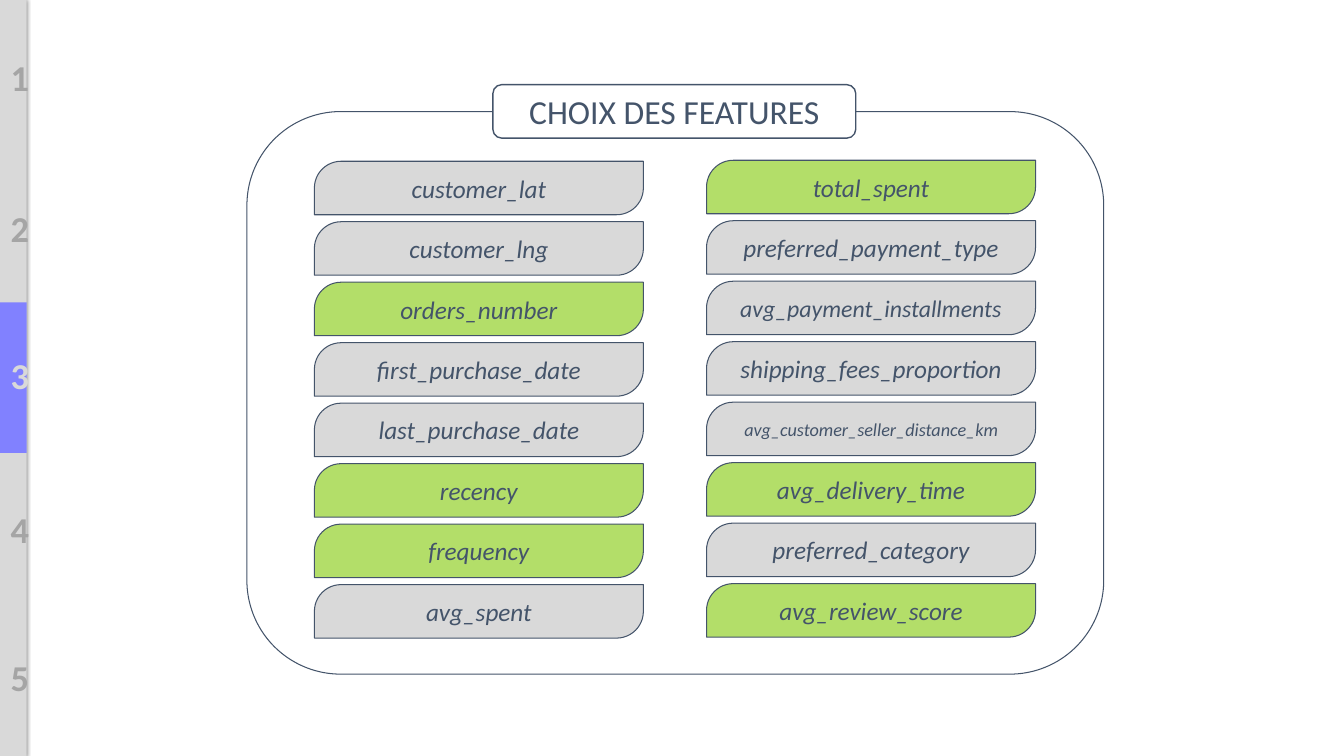
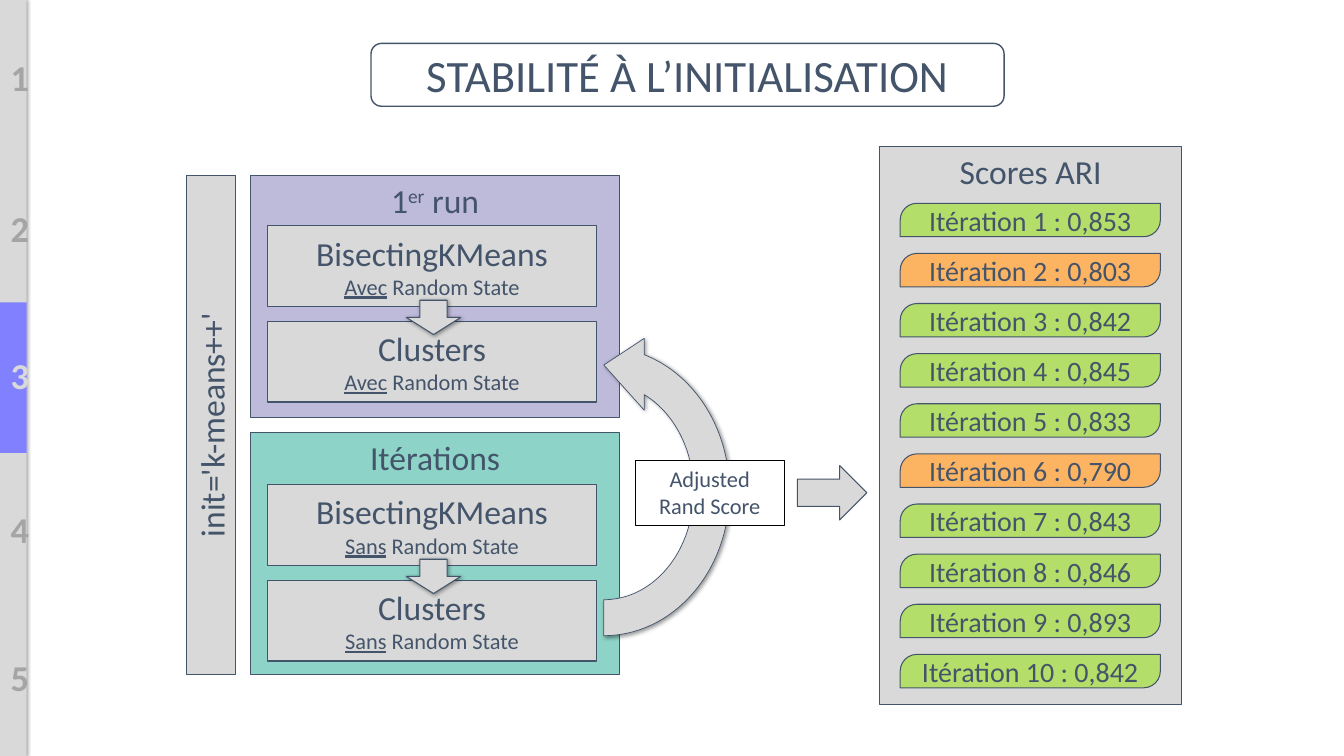
import pptx
import pptx.dml.color
import pptx.enum.shapes
import pptx.enum.text
import pptx.oxml
import pptx.oxml.ns
import pptx.util

Pt = pptx.util.Pt
SHAPE = pptx.enum.shapes.MSO_SHAPE
ANCHOR = pptx.enum.text.MSO_ANCHOR
FONT = "Calibri"

COLORS = {
    "white": "FFFFFF", "black": "000000", "ink": "44546A",
    "gray": "D9D9D9", "digit": "A5A5A5", "current": "8181FF",
    "green": "B3DE69", "orange": "FDB462", "purple": "BEBADA", "teal": "8DD3C7",
}

# Sidebar: section numbers and the current section
DIGIT_TOPS = (36, 143.5, 248.5, 358.5, 464.5)
CURRENT_SECTION = 3
SIDEBAR_WIDTH = 19

# Slide 1: feature columns as (left, top, names)
FEATURE_COLUMNS = (
    (224.6, 115.2, ("customer_lat", "customer_lng", "orders_number",
                    "first_purchase_date", "last_purchase_date", "recency",
                    "frequency", "avg_spent")),
    (504.7, 114.5, ("total_spent", "preferred_payment_type",
                    "avg_payment_installments", "shipping_fees_proportion",
                    "avg_customer_seller_distance_km", "avg_delivery_time",
                    "preferred_category", "avg_review_score")),
)
CHOSEN = {"orders_number", "recency", "frequency", "total_spent",
          "avg_delivery_time", "avg_review_score"}
SMALLER = {"avg_payment_installments": 17, "avg_customer_seller_distance_km": 13}

# Slide 2: scores by iteration
SCORES = ("0,853", "0,803", "0,842", "0,845", "0,833",
          "0,790", "0,843", "0,846", "0,893", "0,842")
LOW_ITERATIONS = {2, 6}


def rgb(name):
    return pptx.dml.color.RGBColor.from_string(COLORS[name])


def write(para, text, size=24, color="ink", bold=False, italic=False,
          underline=False, baseline=0):
    """Add a formatted span to a paragraph."""
    para.alignment = pptx.enum.text.PP_ALIGN.CENTER
    span = para.add_run()
    span.text = text
    font = span.font
    font.name, font.size, font.color.rgb = FONT, Pt(size), rgb(color)
    font.bold, font.italic, font.underline = bold, italic, underline
    if baseline:
        font._element.set("baseline", str(baseline * 1000))
    return para


def add_box(page, kind, left, top, width, height, fill="gray", line="ink",
            weight=0.75, anchor=ANCHOR.MIDDLE, rotation=0):
    box = page.shapes.add_shape(kind, Pt(left), Pt(top), Pt(width), Pt(height))
    box.shadow.inherit = False
    box.rotation = rotation
    box.fill.solid()
    box.fill.fore_color.rgb = rgb(fill)
    if line:
        box.line.color.rgb = rgb(line)
        box.line.width = Pt(weight)
    else:
        box.line.fill.background()
    box.text_frame.word_wrap = True
    box.text_frame.vertical_anchor = anchor
    return box


def first_para(box):
    return box.text_frame.paragraphs[0]


def add_shadow(box, alpha, distance=0, angle=0):
    effects = box.element.spPr.find(pptx.oxml.ns.qn("a:effectLst"))
    effects.append(pptx.oxml.parse_xml(
        f'<a:outerShdw {pptx.oxml.ns.nsdecls("a")} blurRad="{Pt(3)}" '
        f'dist="{Pt(distance)}" dir="{angle * 60000}" algn="ctr" rotWithShape="0">'
        f'<a:srgbClr val="{COLORS["black"]}"><a:alpha val="{alpha * 1000}"/>'
        f'</a:srgbClr></a:outerShdw>'))


def add_sidebar(page):
    bar = add_box(page, SHAPE.RECTANGLE, 0, 0, SIDEBAR_WIDTH, 540, line=None)
    add_shadow(bar, 50)
    add_box(page, SHAPE.RECTANGLE, 0, 216, SIDEBAR_WIDTH, 107.5,
            fill="current", line=None)
    for number, top in enumerate(DIGIT_TOPS, 1):
        box = page.shapes.add_textbox(Pt(0.5), Pt(top), Pt(18), Pt(39))
        box.text_frame.word_wrap = True
        write(first_para(box), str(number), size=26, bold=True,
              color="gray" if number == CURRENT_SECTION else "digit")


def add_title(page, text, left, top, width, height, size):
    box = add_box(page, SHAPE.ROUNDED_RECTANGLE, left, top, width, height,
                  fill="white", weight=1)
    write(first_para(box), text, size=size)


def add_pill(page, text, left, top, width, height, fill, **style):
    """Box with two opposite round corners."""
    pill = add_box(page, SHAPE.ROUND_2_DIAG_RECTANGLE, left, top, width, height,
                   fill=fill)
    pill.adjustments[0], pill.adjustments[1] = 0.5, 0
    write(first_para(pill), text, **style)


def add_panel(page, left, top, width, height, fill):
    """Coloured panel; returns its heading paragraph."""
    return first_para(add_box(page, SHAPE.RECTANGLE, left, top, width, height,
                              fill=fill, anchor=ANCHOR.TOP))


def add_steps(page, top, qualifier):
    """Model box, then cluster box, joined by a down arrow."""
    for index, name in enumerate(("BisectingKMeans", "Clusters")):
        box = add_box(page, SHAPE.RECTANGLE, 190.8, top + index * 68.4, 235.6, 57.6)
        write(first_para(box), name)
        detail = box.text_frame.add_paragraph()
        write(detail, qualifier, size=16, underline=True)
        write(detail, " Random State", size=16)
    arrow = add_box(page, SHAPE.RIGHT_ARROW, 297.4, top + 46.1, 24.5, 38.9,
                    rotation=90)
    add_shadow(arrow, 40, 1, 45)


def build_features(page):
    add_sidebar(page)
    add_box(page, SHAPE.ROUNDED_RECTANGLE, 176.4, 79.7, 612, 401.8, fill="white")
    add_title(page, "CHOIX DES FEATURES", 352.1, 60.5, 259.2, 38.2, 24)
    for left, top, names in FEATURE_COLUMNS:
        for row, name in enumerate(names):
            add_pill(page, name, left, top + row * 43.2, 235, 38.2,
                     "green" if name in CHOSEN else "gray",
                     size=SMALLER.get(name, 18), italic=True)


def build_stability(page):
    add_sidebar(page)
    add_title(page, "STABILITÉ À L’INITIALISATION", 265, 31, 452.2, 44.9, 32)

    # Runs being compared
    heading = add_panel(page, 179.3, 125.3, 263, 172.8, "purple")
    write(heading, "1")
    write(heading, "er", baseline=30)
    write(heading, " run")
    add_steps(page, 161.2, "Avec")
    write(add_panel(page, 179.3, 308.9, 263, 172.8, "teal"), "Itérations")
    add_steps(page, 346.2, "Sans")
    init = add_box(page, SHAPE.RECTANGLE, -27.4, 286.3, 356.4, 34.6, rotation=270)
    write(first_para(init), "init='k-means++'")

    # Comparison
    loop = add_box(page, SHAPE.CIRCULAR_ARROW, 315.4, 248.4, 231.8, 205.2,
                   weight=0.5, rotation=270)
    loop.element.spPr.find(pptx.oxml.ns.qn("a:xfrm")).set("flipV", "1")
    add_shadow(loop, 40, 1, 45)
    label = add_box(page, SHAPE.RECTANGLE, 453.6, 329, 106.6, 46.1, fill="white",
                    line="black", weight=0.25, anchor=ANCHOR.TOP)
    write(first_para(label), "Adjusted Rand Score", size=16)
    add_box(page, SHAPE.RIGHT_ARROW, 569.5, 332.6, 49.7, 38.9)

    # Scores
    write(add_panel(page, 628.4, 104.4, 215.6, 398.9, "gray"), "Scores ARI")
    for number, score in enumerate(SCORES, 1):
        add_pill(page, f"Itération {number} : {score}",
                 643, 145.2 + (number - 1) * 35.8, 185.8, 23.9,
                 "orange" if number in LOW_ITERATIONS else "green", size=20)


def main():
    deck = pptx.Presentation()
    deck.slide_width, deck.slide_height = Pt(960), Pt(540)
    for build in (build_features, build_stability):
        build(deck.slides.add_slide(deck.slide_layouts[6]))
    deck.save("out.pptx")


if __name__ == "__main__":
    main()
